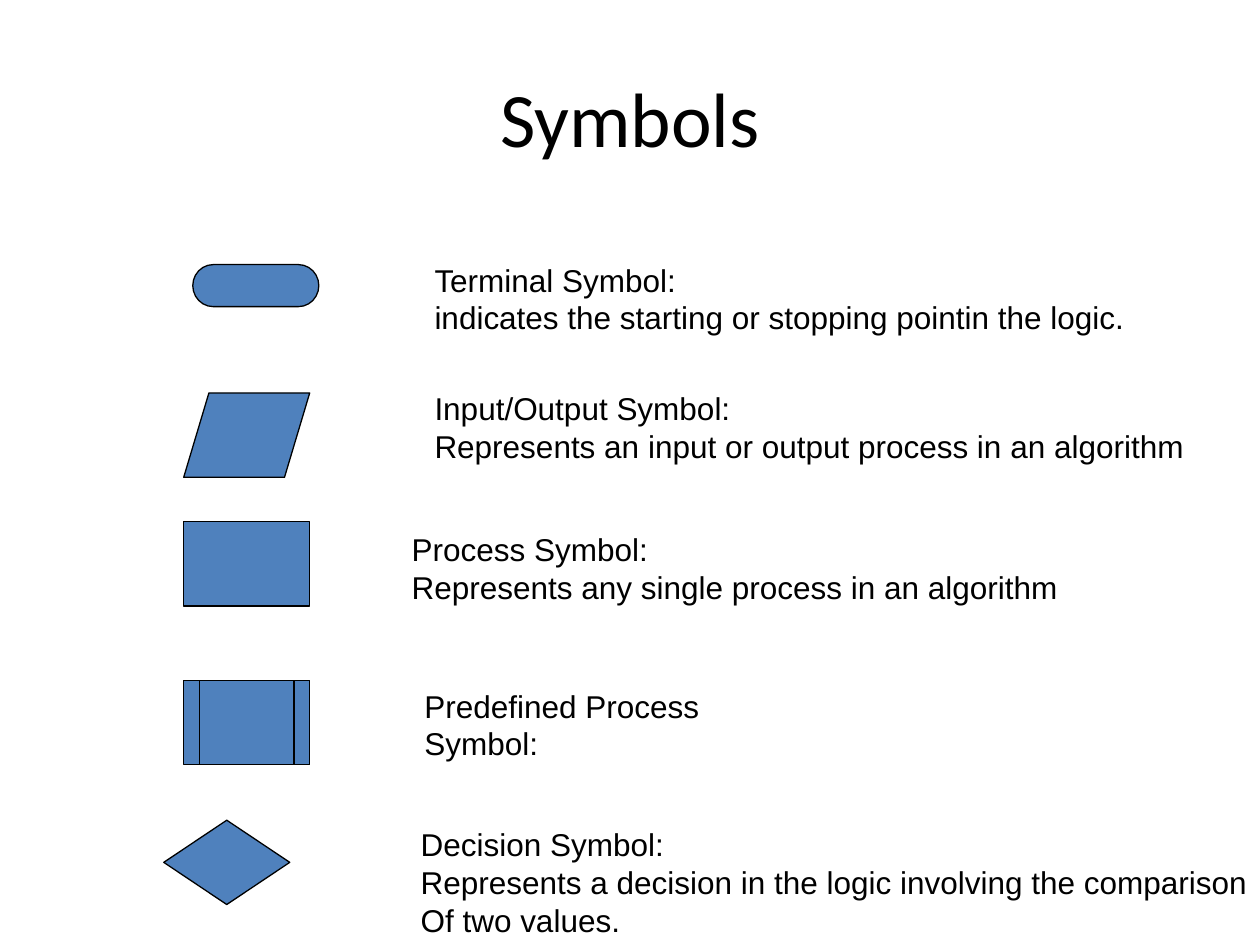
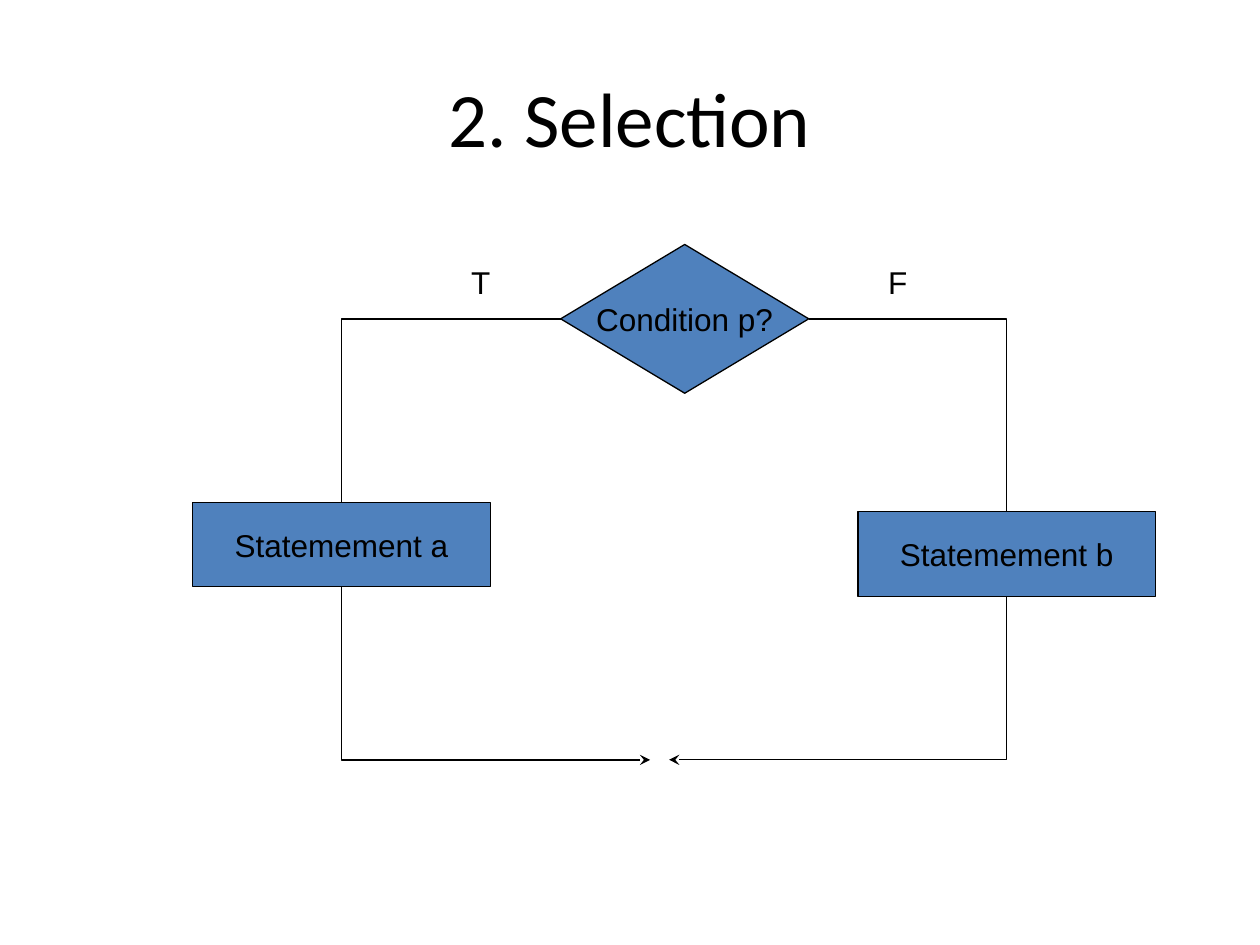
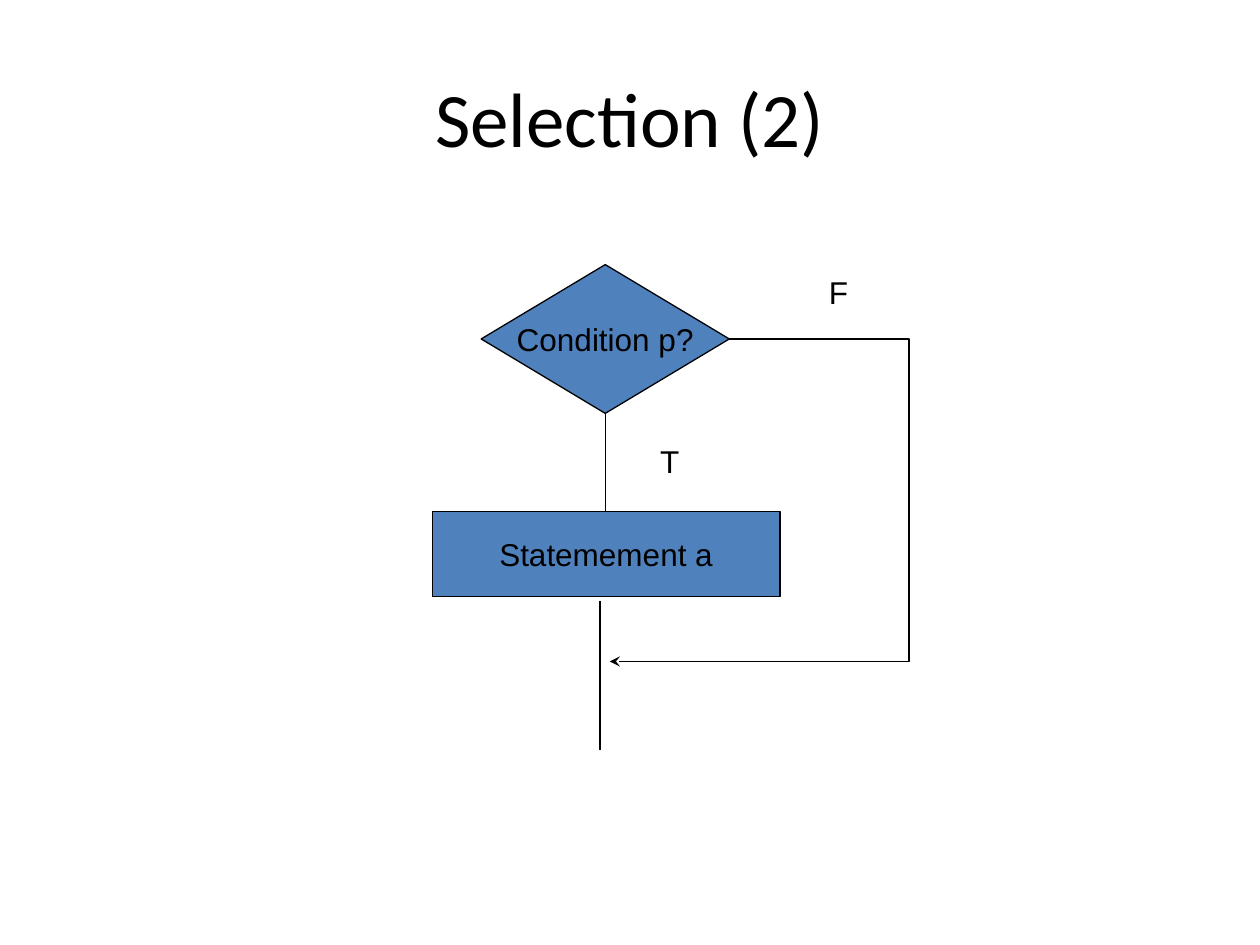
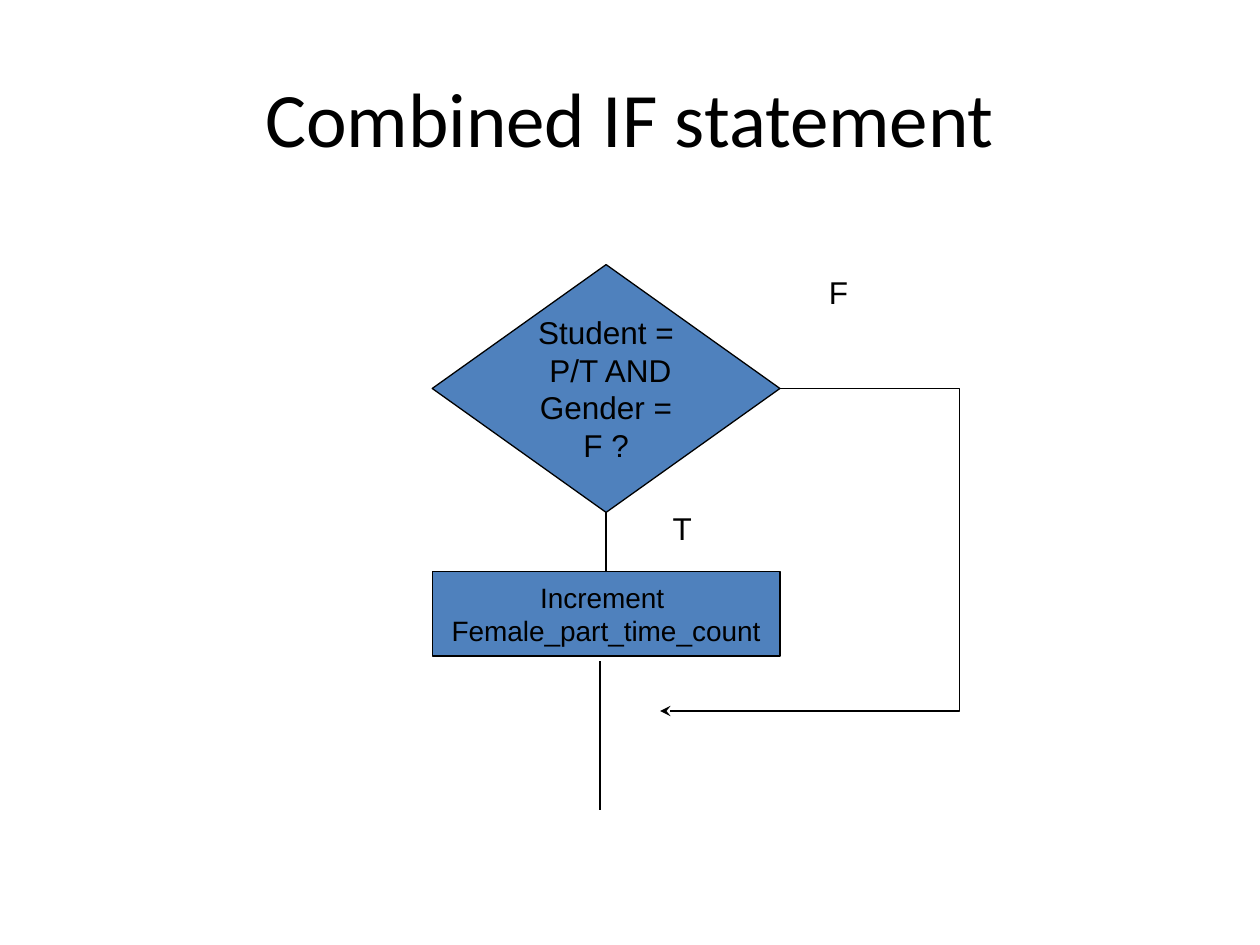
from dataclasses import dataclass

from lxml import etree
from pptx import Presentation
from pptx.dml.color import RGBColor
from pptx.enum.shapes import MSO_CONNECTOR, MSO_SHAPE
from pptx.enum.text import MSO_ANCHOR, MSO_AUTO_SIZE, PP_ALIGN
from pptx.oxml.ns import qn
from pptx.util import Pt

TERMINATOR = MSO_SHAPE.FLOWCHART_TERMINATOR
DATA = MSO_SHAPE.FLOWCHART_DATA
PROCESS = MSO_SHAPE.FLOWCHART_PROCESS
PREDEFINED = MSO_SHAPE.FLOWCHART_PREDEFINED_PROCESS
DECISION = MSO_SHAPE.FLOWCHART_DECISION
STRAIGHT = MSO_CONNECTOR.STRAIGHT
ELBOW = MSO_CONNECTOR.ELBOW
LEFT = PP_ALIGN.LEFT
CENTER = PP_ALIGN.CENTER
MIDDLE = MSO_ANCHOR.MIDDLE
GROW = MSO_AUTO_SIZE.SHAPE_TO_FIT_TEXT

COLORS = {"fill": "4F81BD", "ink": "000000"}
TITLE_ONLY = 5
LINE_WIDTH = 0.75
LINE_HEIGHT = 21.6
BOX_PADDING = 7.2
LETTER_WIDTH = 25.2
STEP_HEIGHT = 48.2


@dataclass
class Box:
    """Frame of a flowchart step, in points."""
    left: float
    top: float
    width: float
    height: float

    @property
    def right(self):
        return self.left + self.width

    @property
    def bottom(self):
        return self.top + self.height

    @property
    def center(self):
        return self.left + self.width / 2

    @property
    def middle(self):
        return self.top + self.height / 2


class FlowchartDeck:
    def __init__(self):
        self.presentation = Presentation()
        self.presentation.slide_width = Pt(720)
        self.presentation.slide_height = Pt(540)
        self.slide = None

    def color(self, name):
        return RGBColor.from_string(COLORS[name])

    def add_slide(self, title):
        layout = self.presentation.slide_layouts[TITLE_ONLY]
        self.slide = self.presentation.slides.add_slide(layout)
        shape = self.slide.shapes.title
        shape.left, shape.top = Pt(36), Pt(21.6)
        shape.width, shape.height = Pt(648), Pt(90)
        shape.text_frame.vertical_anchor = MIDDLE
        self.set_text(shape.text_frame, title, 44, "Calibri", CENTER)

    def set_text(self, text_frame, text, size=18, font="Arial", alignment=LEFT):
        text_frame.text = text
        for paragraph in text_frame.paragraphs:
            paragraph.alignment = alignment
            for run in paragraph.runs:
                run.font.size = Pt(size)
                run.font.name = font
                run.font.color.rgb = self.color("ink")

    def step(self, kind, box, text="", size=18):
        shape = self.slide.shapes.add_shape(
            kind, Pt(box.left), Pt(box.top), Pt(box.width), Pt(box.height))
        shape.shadow.inherit = False
        shape.fill.solid()
        shape.fill.fore_color.rgb = self.color("fill")
        shape.line.color.rgb = self.color("ink")
        shape.line.width = Pt(LINE_WIDTH)
        if text:
            shape.text_frame.word_wrap = False
            shape.text_frame.vertical_anchor = MIDDLE
            self.set_text(shape.text_frame, text, size, alignment=CENTER)

    def label(self, left, top, text, width=LETTER_WIDTH, wrap=False):
        height = LINE_HEIGHT * len(text.split("\n")) + BOX_PADDING
        shape = self.slide.shapes.add_textbox(Pt(left), Pt(top), Pt(width), Pt(height))
        shape.text_frame.word_wrap = wrap
        shape.text_frame.auto_size = GROW
        self.set_text(shape.text_frame, text)

    def line(self, start, end, kind=STRAIGHT, arrow=False):
        connector = self.slide.shapes.add_connector(
            kind, *(Pt(value) for value in (*start, *end)))
        connector.line.color.rgb = self.color("ink")
        connector.line.width = Pt(LINE_WIDTH)
        properties = connector._element.spPr
        if arrow:
            etree.SubElement(properties.find(qn("a:ln")), qn("a:tailEnd"), type="stealth")
        etree.SubElement(properties, qn("a:effectLst"))
        return properties

    def corner(self, start, end, arrow=False):
        """Draw a line that runs across, then down."""
        properties = self.line(start, end, ELBOW, arrow)
        properties.find(qn("a:prstGeom")).set("prst", "bentConnector2")
        return properties

    def corner_arrow(self, start, end):
        """Draw an arrow that runs down, then across: a corner turned by a quarter."""
        center, middle = (start[0] + end[0]) / 2, (start[1] + end[1]) / 2
        half_run, half_fall = abs(end[0] - start[0]) / 2, (end[1] - start[1]) / 2
        side = 1 if end[0] < start[0] else -1
        properties = self.corner(
            (center - side * half_fall, middle - half_run),
            (center + side * half_fall, middle + half_run), arrow=True)
        degrees = 90 if side == 1 else 270
        properties.find(qn("a:xfrm")).set("rot", str(degrees * 60000))

    def bypass_arrow(self, start, end, bend):
        """Draw an arrow out and back; bend is a share of the run from start to end."""
        properties = self.line(start, end, ELBOW, arrow=True)
        guides = properties.find(qn("a:prstGeom")).find(qn("a:avLst"))
        etree.SubElement(guides, qn("a:gd"), name="adj1", fmla=f"val {round(bend * 100000)}")


def add_symbols(deck):
    deck.add_slide("Symbols")
    width = 72
    for kind, left, top, height in (
        (TERMINATOR, 110.2, 151.2, 24),
        (DATA, 105, 224.6, STEP_HEIGHT),
        (PROCESS, 105, 298.1, STEP_HEIGHT),
        (PREDEFINED, 105, 388.8, STEP_HEIGHT),
        (DECISION, 93.6, 468.7, STEP_HEIGHT),
    ):
        deck.step(kind, Box(left, top, width, height))
    deck.label(241.2, 145.4, "Terminal Symbol:\n"
               "indicates the starting or stopping pointin the logic.", 447.8, wrap=True)
    deck.label(241.2, 218.9, "Input/Output Symbol:\n"
               "Represents an input or output process in an algorithm", 442.8)
    deck.label(228.2, 299.5, "Process Symbol:\n"
               "Represents any single process in an algorithm", 383.8)
    deck.label(235.4, 388.8, "Predefined Process Symbol:", 241.2)
    deck.label(233.3, 468, "Decision Symbol:\n"
               "Represents a decision in the logic involving the comparison\n"
               "Of two values.", 486.7)


def add_two_way_selection(deck):
    deck.add_slide("2. Selection")
    condition = Box(320.4, 139.7, 141.8, 85)
    deck.step(DECISION, condition, "Condition p?")
    for name, left, top, exit_x, join_x in (
        ("a", 110.2, 287.1, condition.left, 371.5),
        ("b", 490.3, 292.5, condition.right, 382.3),
    ):
        statement = Box(left, top, 169.9, STEP_HEIGHT)
        deck.step(PROCESS, statement, f"Statemement {name}")
        deck.corner((exit_x, condition.middle), (statement.center, statement.top))
        deck.corner_arrow((statement.center, statement.bottom), (join_x, 434.2))
    deck.label(262.1, 146.9, "T")
    deck.label(500.4, 146.9, "F")


def add_one_way_selection(deck, title, decision, condition, action_top, action,
                          true_label, action_size=18):
    deck.add_slide(title)
    statement = Box(247, action_top, 198.7, STEP_HEIGHT)
    deck.step(DECISION, decision, condition)
    deck.step(PROCESS, statement, action, action_size)
    deck.line((decision.center, decision.bottom), (decision.center, statement.top))
    deck.bypass_arrow((decision.right, decision.middle),
                      (decision.right - 68.4, decision.middle + 184.3), bend=-1.5)
    exit_x, exit_top = 342.9, statement.bottom + 3
    deck.line((exit_x, exit_top), (exit_x, exit_top + 85))
    deck.label(*true_label, "T")
    deck.label(466.6, 152.6, "F")


def main():
    deck = FlowchartDeck()
    add_symbols(deck)
    add_two_way_selection(deck)
    add_one_way_selection(
        deck, "Selection (2)", Box(275, 151.2, 141.8, 85), "Condition p?",
        292.5, "Statemement a", (370.1, 249.1))
    add_one_way_selection(
        deck, "Combined IF statement", Box(247, 151.2, 198.7, 141.6),
        "Student =\n P/T AND\nGender =\nF ?",
        326.7, "Increment \nFemale_part_time_count", (377.3, 287.3), action_size=16)
    deck.presentation.save("out.pptx")


if __name__ == "__main__":
    main()
